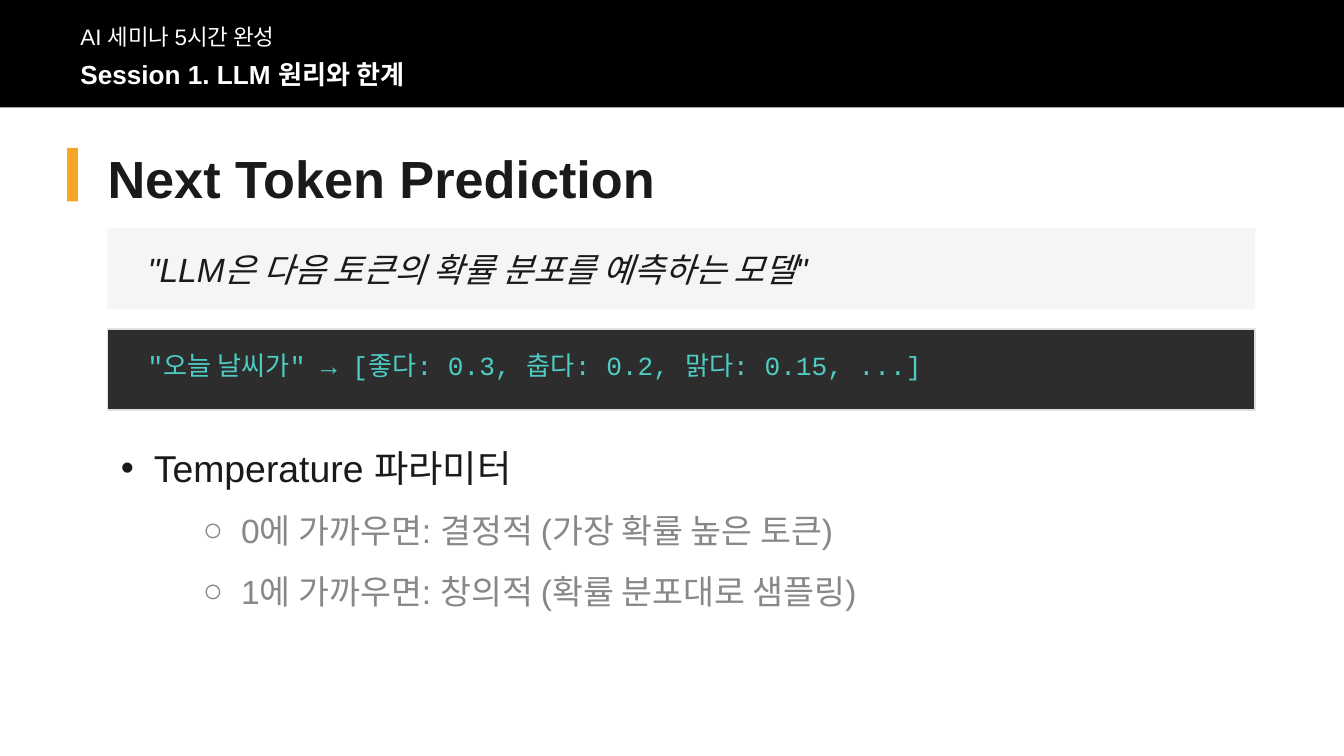
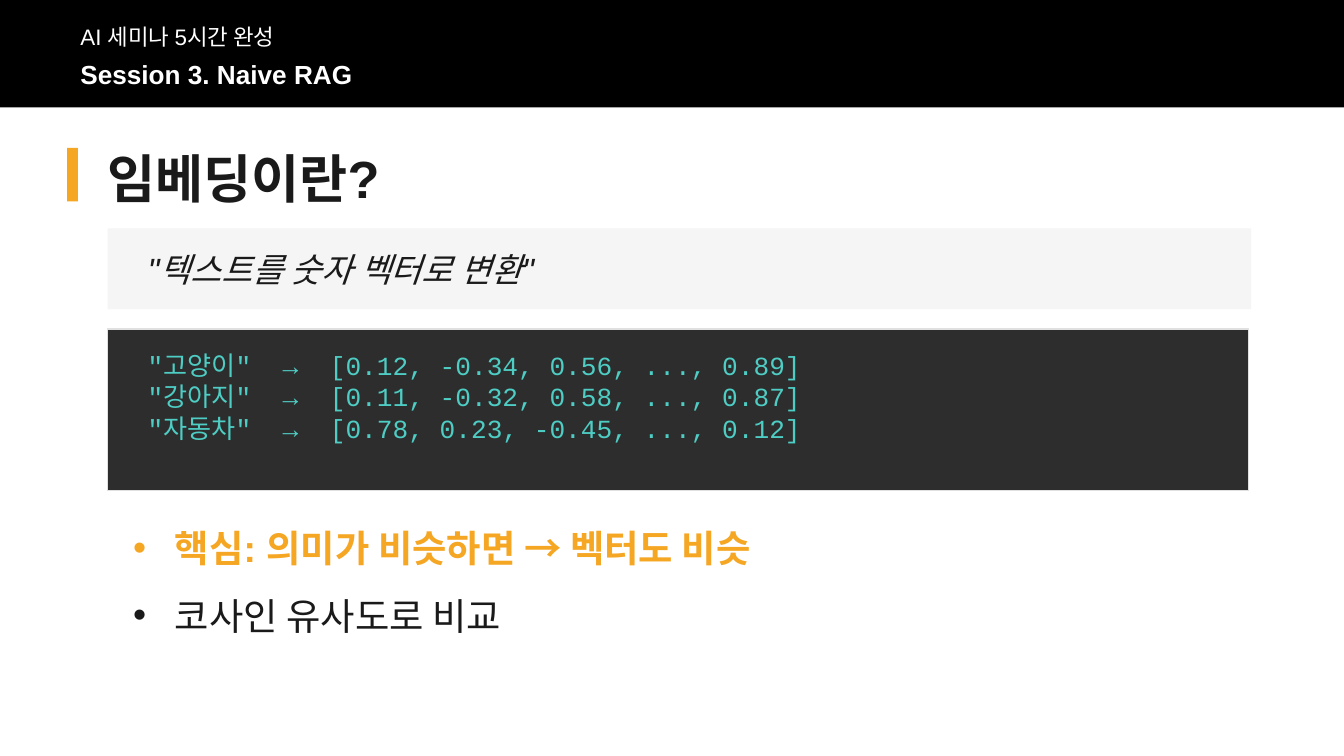
from lxml import etree
from pptx import Presentation
from pptx.dml.color import RGBColor
from pptx.enum.shapes import MSO_SHAPE
from pptx.enum.text import MSO_ANCHOR, MSO_AUTO_SIZE, PP_ALIGN
from pptx.oxml.ns import qn
from pptx.util import Pt

PX = 4572  # 200 px to the inch
RECTANGLE = MSO_SHAPE.RECTANGLE
TOP, MIDDLE = MSO_ANCHOR.TOP, MSO_ANCHOR.MIDDLE
LEFT = PP_ALIGN.LEFT
NO_FIT = MSO_AUTO_SIZE.NONE

WIDTH, HEIGHT = 2000, 1125
SANS, MONO = "Arial", "Courier New"
BLACK, WHITE, INK, GREY = "000000", "FFFFFF", "1A1A1A", "888888"
ACCENT, PALE, DARK, EDGE, MINT = "F5A623", "F5F5F5", "2D2D2D", "E0E0E0", "4ECDC4"

COURSE = "AI 세미나 5시간 완성"

# Each list style: bullet sign, bullet and text offsets, level and text format
ITEM = dict(sign="•", bullet=0, text=49, level=0, size=20, color=INK, before=12)
SUBITEM = dict(sign="○", bullet=122, text=179, level=1, size=18, color=GREY, before=11)
WIDE_ITEM = dict(ITEM, bullet=18, text=80)
KEY_ITEM = dict(WIDE_ITEM, color=ACCENT, bold=True)

PAGES = [
    dict(
        session="Session 1. LLM 원리와 한계",
        title="Next Token Prediction",
        quote='"LLM은 다음 토큰의 확률 분포를 예측하는 모델"',
        quote_width=1708,
        code=['"오늘 날씨가" → [좋다: 0.3, 춥다: 0.2, 맑다: 0.15, ...]'],
        code_size=(1708, 120),
        items=[
            ("Temperature 파라미터", ITEM),
            ("0에 가까우면: 결정적 (가장 확률 높은 토큰)", SUBITEM),
            ("1에 가까우면: 창의적 (확률 분포대로 샘플링)", SUBITEM),
        ],
    ),
    dict(
        session="Session 3. Naive RAG",
        title="임베딩이란?",
        quote='"텍스트를 숫자 벡터로 변환"',
        quote_width=1702,
        code=[
            '"고양이"  →  [0.12, -0.34, 0.56, ..., 0.89]',
            '"강아지"  →  [0.11, -0.32, 0.58, ..., 0.87]',
            '"자동차"  →  [0.78, 0.23, -0.45, ..., 0.12]',
        ],
        code_size=(1698, 240),
        items=[
            ("핵심: 의미가 비슷하면 → 벡터도 비슷", KEY_ITEM),
            ("코사인 유사도로 비교", WIDE_ITEM),
        ],
    ),
]


def rgb(color):
    return RGBColor.from_string(color)


def place(*lengths):
    return [length * PX for length in lengths]


def add_panel(page, area, fill, line=None):
    panel = page.shapes.add_shape(RECTANGLE, *place(*area))
    panel.shadow.inherit = False
    panel.fill.solid()
    panel.fill.fore_color.rgb = rgb(fill)
    if line:
        panel.line.color.rgb = rgb(line)
        panel.line.width = Pt(1)
    else:
        panel.line.fill.background()


def write(paragraph, text, size, color, font=SANS, bold=False, italic=False, before=0):
    paragraph.alignment = LEFT
    paragraph.space_before = Pt(before)
    span = paragraph.add_run()
    span.text = text
    span.font.name = font
    span.font.size = Pt(size)
    span.font.color.rgb = rgb(color)
    span.font.bold = bold
    span.font.italic = italic


def prepare(box, area, anchor):
    """Move a text holder and return its frame with fixed size and wrapping."""
    box.left, box.top, box.width, box.height = place(*area)
    frame = box.text_frame
    frame.word_wrap = True
    frame.auto_size = NO_FIT
    frame.vertical_anchor = anchor
    return frame


def next_paragraph(frame, index):
    return frame.add_paragraph() if index else frame.paragraphs[0]


def add_text(page, lines, area, anchor=MIDDLE, **style):
    frame = prepare(page.shapes.add_textbox(0, 0, 0, 0), area, anchor)
    for index, line in enumerate(lines):
        write(next_paragraph(frame, index), line, **style)


def set_bullet(paragraph, sign, bullet, text):
    properties = paragraph._p.get_or_add_pPr()
    properties.set("marL", str(text * PX))
    properties.set("indent", str((bullet - text) * PX))
    etree.SubElement(properties, qn("a:buFont"), typeface=SANS)
    etree.SubElement(properties, qn("a:buChar"), char=sign)


def add_header(page, session):
    add_panel(page, (0, 0, WIDTH, 160), BLACK)
    add_text(page, [COURSE], (100, 30, 1000, 50), size=12, color=WHITE)
    add_text(page, [session], (100, 80, 1600, 60), size=14, color=WHITE, bold=True)


def add_title(page, title):
    add_panel(page, (100, 220, 16, 80), ACCENT)
    frame = prepare(page.shapes.title, (140, 220, 1760, 90), MIDDLE)
    write(frame.paragraphs[0], title, size=28, color=INK, bold=True)


def add_list(page, items, top):
    frame = prepare(page.placeholders[1], (160, top, 1740, 300), TOP)
    for index, (text, style) in enumerate(items):
        style = dict(style)
        paragraph = next_paragraph(frame, index)
        paragraph.level = style.pop("level")
        set_bullet(paragraph, *(style.pop(key) for key in ("sign", "bullet", "text")))
        if index == 0:
            style["before"] = 0
        write(paragraph, text, **style)


def build_page(deck, content):
    page = deck.slides.add_slide(deck.slide_layouts[1])
    add_header(page, content["session"])
    add_title(page, content["title"])

    add_panel(page, (160, 340, content["quote_width"], 120), PALE)
    add_text(page, [content["quote"]], (200, 360, 1624, 80), size=18, color=INK, italic=True)

    code_top = 490
    code_width, code_height = content["code_size"]
    add_panel(page, (160, code_top, code_width, code_height), DARK, EDGE)
    add_text(page, content["code"], (200, code_top + 20, 1624, code_height - 40),
             anchor=TOP, size=14, color=MINT, font=MONO)

    add_list(page, content["items"], code_top + code_height + 42)


def main():
    deck = Presentation()
    deck.slide_width, deck.slide_height = place(WIDTH, HEIGHT)
    for content in PAGES:
        build_page(deck, content)
    deck.save("out.pptx")


if __name__ == "__main__":
    main()
